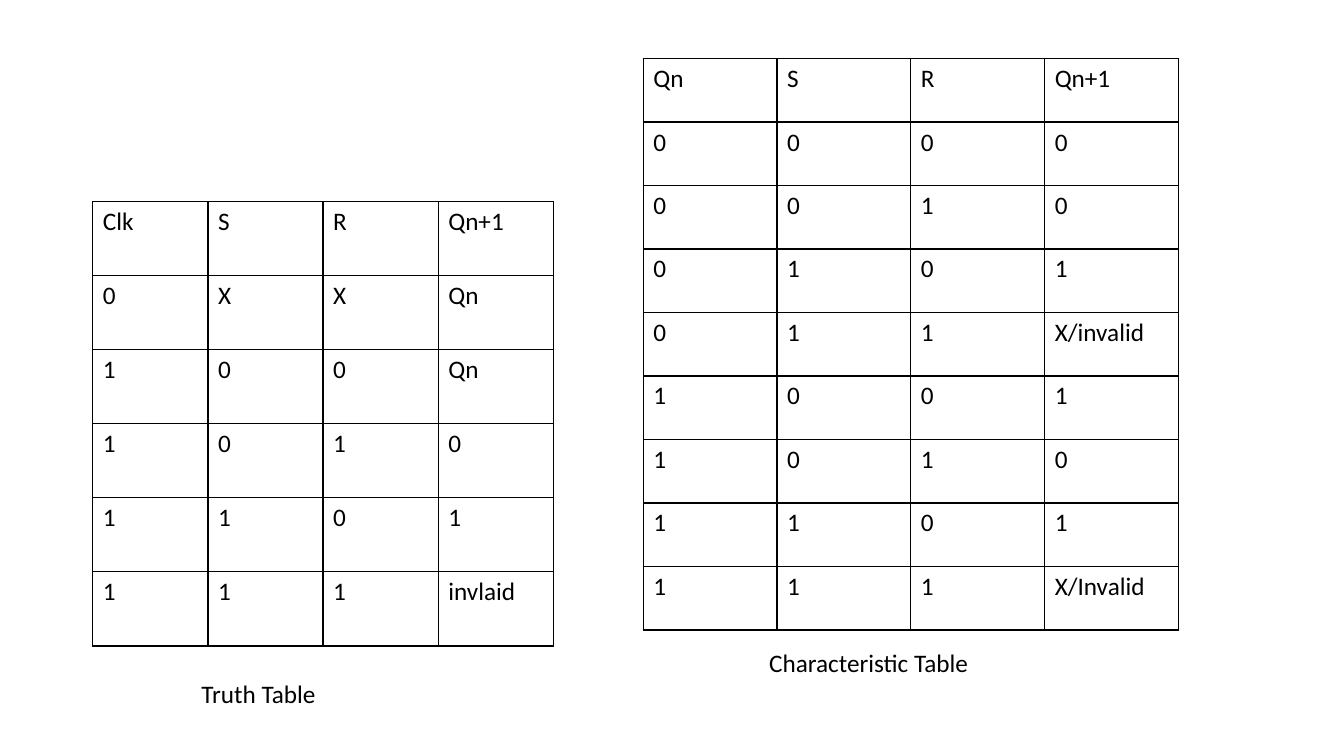
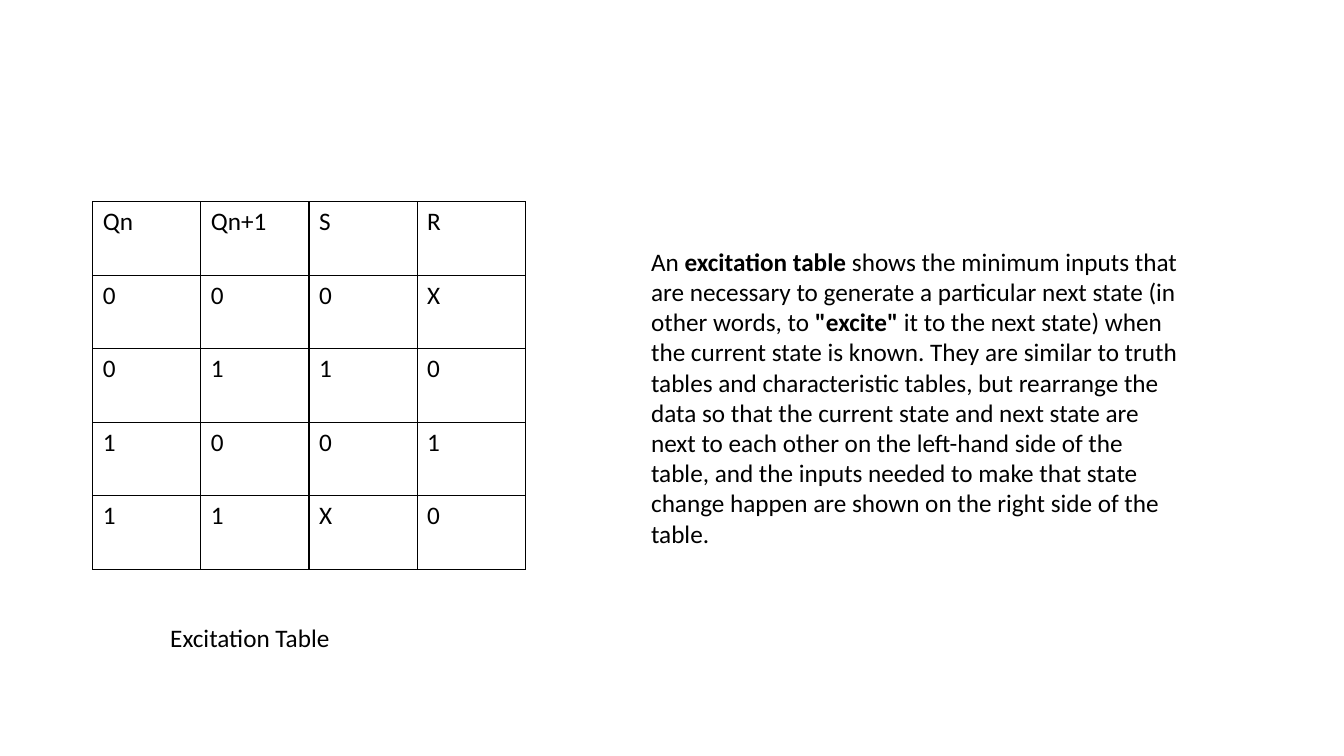
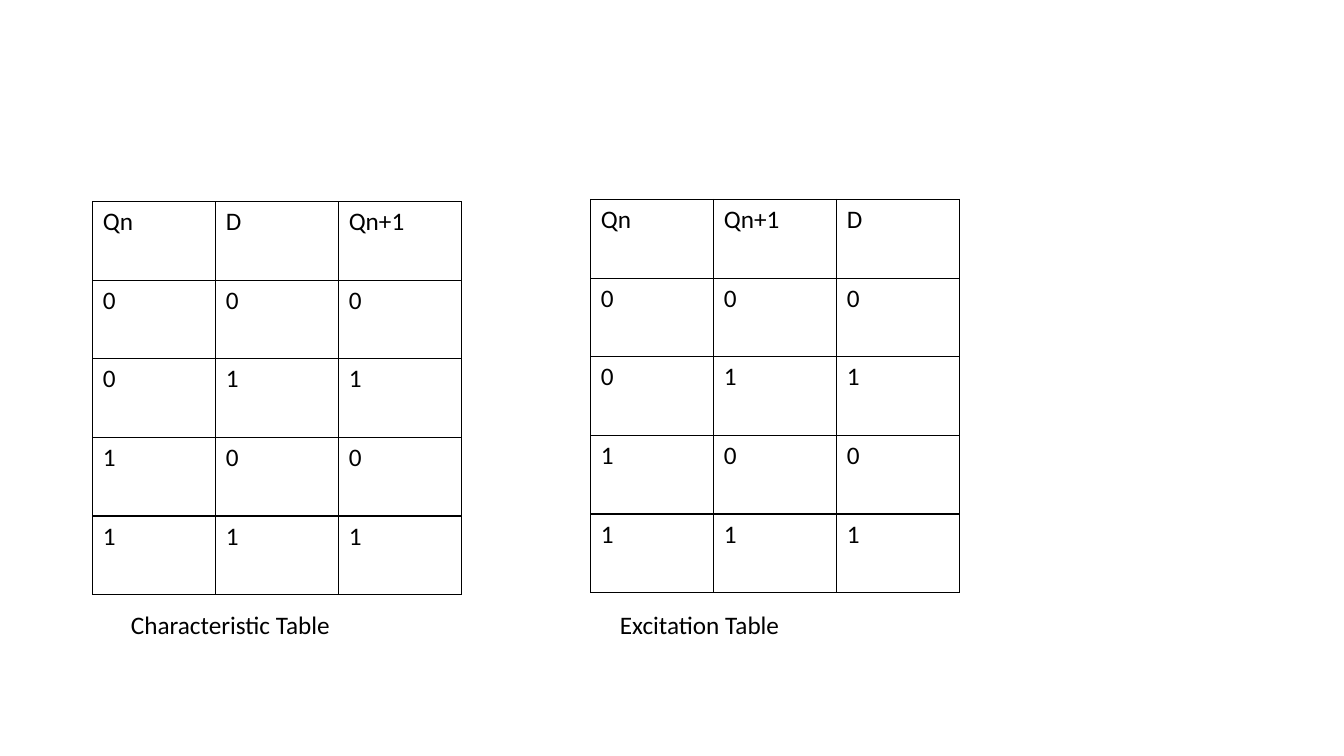
from dataclasses import dataclass

from lxml import etree
from pptx import Presentation
from pptx.dml.color import RGBColor
from pptx.enum.text import MSO_AUTO_SIZE
from pptx.oxml.ns import qn
from pptx.slide import Slide
from pptx.table import _Cell
from pptx.text.text import TextFrame
from pptx.util import Inches, Pt

FIT = MSO_AUTO_SIZE.SHAPE_TO_FIT_TEXT
FONT = "Calibri"
SIZE = 18
INK = "000000"
SIDES = ("a:lnL", "a:lnR", "a:lnT", "a:lnB")


@dataclass
class Grid:
    left: float
    top: float
    width: float
    height: float
    rows: tuple[str, ...]


@dataclass
class Note:
    left: float
    top: float
    width: float
    height: float
    text: str


@dataclass
class Page:
    grids: list[Grid]
    notes: list[Note]


PAGES = [
    Page(
        [
            Grid(0.92, 2, 4.57, 4.41, (
                "Clk S R Qn+1", "0 X X Qn", "1 0 0 Qn",
                "1 0 1 0", "1 1 0 1", "1 1 1 invlaid",
            )),
            Grid(6.38, 0.58, 5.31, 5.67, (
                "Qn S R Qn+1", "0 0 0 0", "0 0 1 0",
                "0 1 0 1", "0 1 1 X/invalid", "1 0 0 1",
                "1 0 1 0", "1 1 0 1", "1 1 1 X/Invalid",
            )),
        ],
        [
            Note(1.9, 6.68, 2.49, 0.4, "Truth Table"),
            Note(7.53, 6.37, 3.68, 0.4, "Characteristic Table"),
        ],
    ),
    Page(
        [
            Grid(0.92, 2, 4.29, 3.65, (
                "Qn Qn+1 S R", "0 0 0 X", "0 1 1 0", "1 0 0 1", "1 1 X 0",
            )),
        ],
        [
            Note(1.59, 6.12, 3.27, 0.4, "Excitation Table"),
            Note(
                6.36, 2.39, 5.47, 3.13,
                "An **excitation table** shows the minimum inputs that are "
                "necessary to generate a particular next state (in other "
                "words, to **\"excite\"** it to the next state) when the "
                "current state is known. They are similar to truth tables "
                "and characteristic tables, but rearrange the data so that "
                "the current state and next state are next to each other on "
                "the left-hand side of the table, and the inputs needed to "
                "make that state change happen are shown on the right side "
                "of the table.",
            ),
        ],
    ),
    Page(
        [
            Grid(0.92, 2, 3.66, 3.9, (
                "Qn D Qn+1", "0 0 0", "0 1 1", "1 0 0", "1 1 1",
            )),
            Grid(5.86, 1.98, 3.66, 3.9, (
                "Qn Qn+1 D", "0 0 0", "0 1 1", "1 0 0", "1 1 1",
            )),
        ],
        [
            Note(1.2, 6, 3.12, 0.4, "Characteristic Table"),
            Note(6.05, 6, 3.12, 0.4, "Excitation Table"),
        ],
    ),
]


def paint(code: str) -> RGBColor:
    return RGBColor.from_string(code)


def write(frame: TextFrame, text: str, *, size: float = SIZE,
          ink: str = INK, face: str = FONT) -> None:
    line = frame.paragraphs[0]
    for spot, part in enumerate(text.split("**")):
        run = line.add_run()
        run.text = part
        run.font.name = face
        run.font.size = Pt(size)
        run.font.bold = spot % 2 == 1
        run.font.color.rgb = paint(ink)


def edge(cell: _Cell, width: float = 1, ink: str = INK) -> None:
    props = cell._tc.get_or_add_tcPr()
    for side in SIDES:
        line = etree.SubElement(props, qn(side), w=str(Pt(width)))
        fill = etree.SubElement(line, qn("a:solidFill"))
        etree.SubElement(fill, qn("a:srgbClr"), val=ink)


def draw_grid(slide: Slide, grid: Grid) -> None:
    rows = [row.split() for row in grid.rows]
    count = len(rows[0])
    table = slide.shapes.add_table(
        len(rows), count, Inches(grid.left), Inches(grid.top),
        Inches(grid.width), Inches(grid.height),
    ).table
    table.first_row = False
    table.horz_banding = False
    for column in table.columns:
        column.width = Inches(grid.width / count)
    for row, words in zip(table.rows, rows):
        row.height = Inches(grid.height / len(rows))
        for cell, word in zip(row.cells, words):
            write(cell.text_frame, word)
            edge(cell)
            cell.fill.background()


def draw_note(slide: Slide, note: Note) -> None:
    frame = slide.shapes.add_textbox(
        Inches(note.left), Inches(note.top),
        Inches(note.width), Inches(note.height),
    ).text_frame
    frame.word_wrap = True
    frame.auto_size = FIT
    write(frame, note.text)


def main() -> None:
    deck = Presentation()
    deck.slide_width = Inches(13.33)
    deck.slide_height = Inches(7.5)
    for page in PAGES:
        slide = deck.slides.add_slide(deck.slide_layouts[6])
        for grid in page.grids:
            draw_grid(slide, grid)
        for note in page.notes:
            draw_note(slide, note)
    deck.save("out.pptx")


if __name__ == "__main__":
    main()
